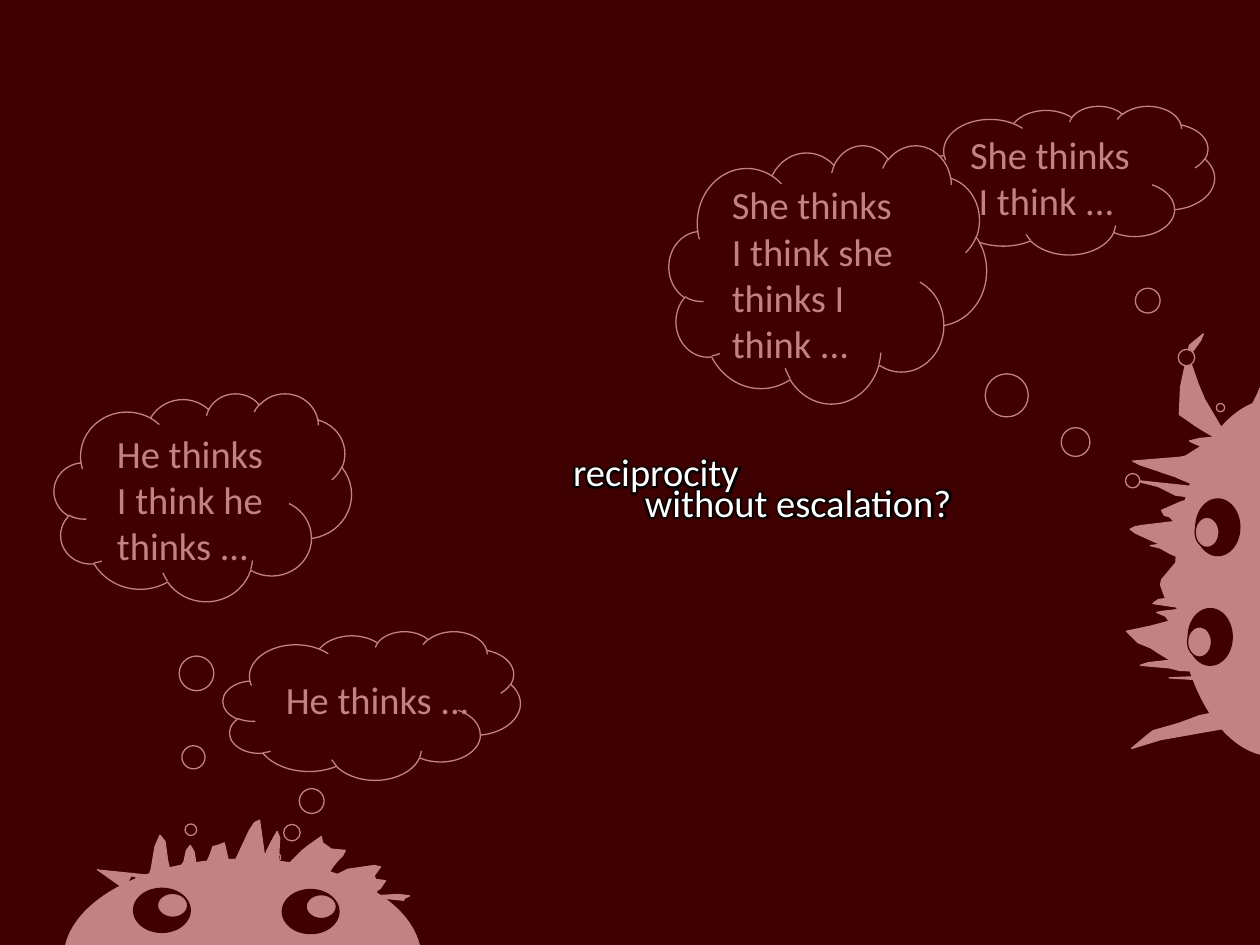
from dataclasses import dataclass

from lxml import etree
from pptx import Presentation
from pptx.dml.color import RGBColor
from pptx.enum.shapes import MSO_SHAPE
from pptx.enum.text import MSO_AUTO_SIZE
from pptx.oxml.ns import qn
from pptx.util import Emu, Pt

PX = 9144  # 100 px to the inch


@dataclass(frozen=True)
class Theme:
    light: RGBColor = RGBColor(255, 255, 255)
    dark: RGBColor = RGBColor(0, 0, 0)
    veil: RGBColor = RGBColor(128, 0, 0)
    veil_alpha: int = 49000
    font: str = "Calibri"
    text_size: Pt = Pt(22)
    line_width: Pt = Pt(0.75)
    glow_radius: Pt = Pt(5)


THEME = Theme()

# Hair tips and roots, from each creature's hair origin
FRINGE = [
    (77, 90), (101, 107), (102, 99), (104, 95), (108, 96), (109, 101), (111, 111),
    (115, 105), (120, 90), (123, 72), (127, 63), (131, 68), (133, 83), (136, 96),
    (140, 94), (142, 90), (146, 84), (148, 75), (151, 71), (154, 76), (158, 101),
    (159, 94), (163, 87), (167, 78), (169, 72), (173, 71), (178, 69), (183, 91),
    (185, 87), (191, 74), (198, 59), (202, 53), (206, 51), (210, 80), (212, 75),
    (214, 71), (216, 67), (220, 60), (222, 65), (221, 82), (220, 86), (218, 91),
    (221, 94), (229, 86), (235, 80), (240, 75), (245, 71), (255, 64), (256, 69),
    (263, 74), (274, 75), (272, 79), (268, 83), (264, 88), (256, 101), (251, 106),
    (256, 103), (268, 94), (276, 90), (297, 87), (302, 88), (297, 95), (298, 98),
    (306, 99), (302, 105), (299, 107), (298, 111), (316, 110), (325, 111),
    (321, 113), (320, 115),
]
SPIKES = [
    (172, 378), (121, 387), (98, 394), (110, 384), (115, 380), (136, 374), (152, 368),
    (167, 365), (182, 360), (194, 355), (206, 349), (207, 345), (169, 344), (161, 340),
    (128, 338), (151, 337), (180, 336), (176, 334), (157, 333), (136, 332), (128, 330),
    (105, 328), (111, 326), (129, 324), (119, 318), (113, 314), (103, 310), (94, 301),
    (113, 297), (128, 293), (125, 289), (118, 286), (124, 285), (142, 283), (122, 280),
    (115, 279), (119, 276), (125, 275), (121, 264), (122, 260), (132, 248), (140, 239),
    (137, 243), (128, 239), (121, 235), (113, 233), (121, 232), (114, 229), (101, 223),
    (97, 220), (101, 218), (107, 217), (132, 214), (128, 210), (124, 209), (122, 205),
    (138, 198), (148, 196), (141, 194), (133, 193), (119, 186), (107, 183), (98, 181),
    (136, 185), (153, 187), (132, 178), (105, 169), (99, 166), (136, 163), (141, 162),
    (152, 155), (156, 156), (153, 154), (148, 152), (144, 150), (152, 148), (164, 147),
    (157, 143), (149, 138), (136, 129), (137, 107), (144, 74), (155, 65), (153, 70),
    (145, 81), (144, 85), (151, 105), (156, 117), (169, 139), (175, 139), (180, 136),
    (186, 131), (191, 127), (198, 113), (200, 108), (202, 115), (203, 119), (207, 120),
    (218, 115), (223, 113), (223, 121),
]


def paint(shape, fill, line):
    shape.shadow.inherit = False
    if fill is None:
        shape.fill.background()
    else:
        shape.fill.solid()
        shape.fill.fore_color.rgb = fill
    if line is None:
        shape.line.fill.background()
    else:
        shape.line.color.rgb = line
        shape.line.width = THEME.line_width


def add_preset(page, preset, box, fill, line, rotation=0):
    shape = page.shapes.add_shape(preset, *(Emu(side * PX) for side in box))
    shape.rotation = rotation
    paint(shape, fill, line)
    return shape


def add_glow(span):
    """Put a dark halo round the letters of a run."""
    properties = span.font._element
    effects = etree.Element(qn("a:effectLst"))
    glow = etree.SubElement(effects, qn("a:glow"), rad=str(int(THEME.glow_radius)))
    etree.SubElement(glow, qn("a:srgbClr"), val=str(THEME.dark))
    properties.find(qn("a:solidFill")).addnext(effects)


def add_text(page, box, lines, wrap=False, glow=False):
    frame = page.shapes.add_textbox(*(Emu(side * PX) for side in box)).text_frame
    frame.word_wrap = wrap
    frame.auto_size = MSO_AUTO_SIZE.SHAPE_TO_FIT_TEXT
    para = frame.paragraphs[0]
    for index, line in enumerate(lines):
        if index:
            para.add_line_break()
        span = para.add_run()
        span.text = line
        span.font.name = THEME.font
        span.font.size = THEME.text_size
        span.font.color.rgb = THEME.light
        if glow:
            add_glow(span)


def add_creature(page, box, hair, hair_offset, eyes, pupil_offset, rotation=0):
    """Draw hair, head and eyes; offsets count from the unturned head box."""
    left, top, _, _ = box
    hair_left, hair_top = left + hair_offset[0], top + hair_offset[1]
    points = [(hair_left + x, hair_top + y) for x, y in hair]
    outline = page.shapes.build_freeform(*points[0], scale=PX)
    outline.add_line_segments(points[1:], close=False)
    paint(outline.convert_to_shape(), THEME.light, THEME.light)

    add_preset(page, MSO_SHAPE.OVAL, box, THEME.light, THEME.light, rotation)
    for x, y in eyes:
        eye = (left + x, top + y, 45, 35)
        pupil = (eye[0] + pupil_offset[0], eye[1] + pupil_offset[1], 24, 19)
        add_preset(page, MSO_SHAPE.OVAL, eye, THEME.dark, THEME.dark, rotation)
        add_preset(page, MSO_SHAPE.OVAL, pupil, THEME.light, THEME.dark, rotation)


def add_thought(page, box, tail, text_box, lines, fill=None, wrap=False):
    """Draw a thought cloud; text_box counts from the cloud's corner."""
    cloud = add_preset(page, MSO_SHAPE.CLOUD_CALLOUT, box, fill, THEME.light)
    for index, value in enumerate(tail):
        cloud.adjustments[index] = value
    x, y, width, height = text_box
    add_text(page, (box[0] + x, box[1] + y, width, height), lines, wrap)


def add_veil(page, box):
    veil = add_preset(page, MSO_SHAPE.RECTANGLE, box, THEME.veil, None)
    color = veil._element.spPr.find(qn("a:solidFill"))[0]
    etree.SubElement(color, qn("a:alpha"), val=str(THEME.veil_alpha))


def add_question(page, box):
    left, top, _, _ = box
    add_text(page, (left, top, 163, 47), ["reciprocity"], glow=True)
    add_text(page, (left + 57, top + 24, 279, 47), ["without escalation?"], glow=True)


def main():
    deck = Presentation()
    deck.slide_width, deck.slide_height = Emu(1000 * PX), Emu(750 * PX)
    page = deck.slides.add_slide(deck.slide_layouts[6])
    page.background.fill.solid()
    page.background.fill.fore_color.rgb = THEME.dark

    add_creature(page, (51, 682, 283, 157), FRINGE, (-51, -82),
                 [(55, 23), (173, 24)], (19, 4))
    add_creature(page, (870, 380, 283, 157), SPIKES, (-70, -180),
                 [(74, 21), (68, 108)], (2, 12), rotation=270)

    add_thought(page, (177, 501, 236, 118), (-0.32, 1.02), (40, 31, 169, 47),
                ["He thinks ..."])
    add_thought(page, (728, 84, 236, 118), (0.52, 1.53), (32, 15, 161, 84),
                ["She thinks", " I think ..."], THEME.dark)
    add_thought(page, (43, 312, 236, 165), (-0.04, 1.6), (40, 24, 145, 121),
                ["He thinks ", "I think he ", "thinks ..."])
    add_thought(page, (531, 115, 252, 205), (0.96, 0.8), (40, 24, 189, 158),
                ["She thinks ", "I think she ", "thinks I think ..."],
                THEME.dark, wrap=True)

    add_veil(page, (0, 0, 1000, 750))
    add_question(page, (445, 351, 336, 71))
    deck.save("out.pptx")


if __name__ == "__main__":
    main()
